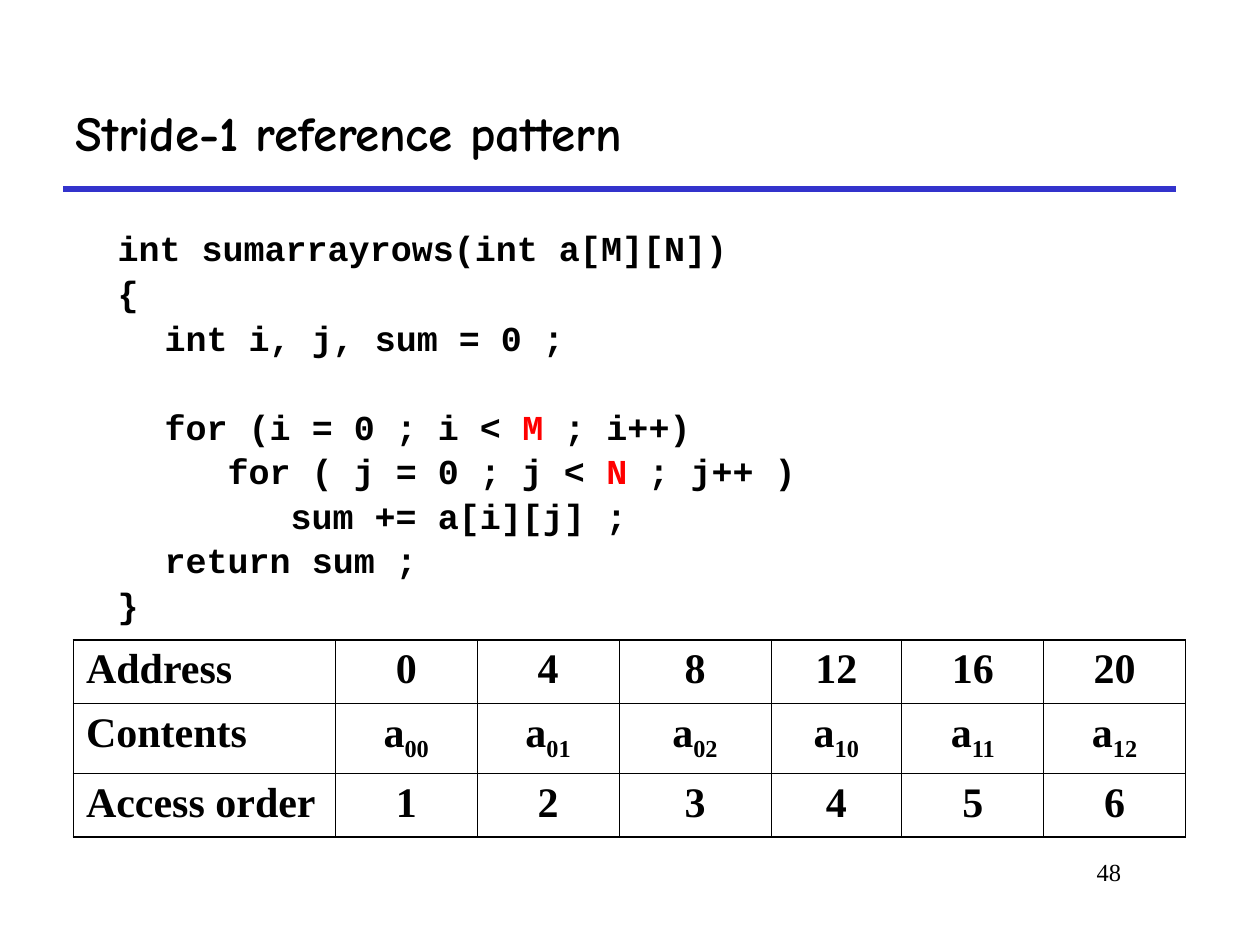
"""Build the slide on the stride-1 reference pattern."""
import dataclasses

import lxml.etree
import pptx
import pptx.dml.color
import pptx.enum.shapes
import pptx.enum.text
import pptx.oxml
import pptx.oxml.ns
import pptx.util

Cm = pptx.util.Cm
Pt = pptx.util.Pt
RGB = pptx.dml.color.RGBColor
ALIGN = pptx.enum.text.PP_ALIGN
ANCHOR = pptx.enum.text.MSO_ANCHOR
qn = pptx.oxml.ns.qn


@dataclasses.dataclass(frozen=True)
class Theme:
    """Colours, fonts and sizes of the slide."""
    ink: RGB = RGB(0, 0, 0)
    accent: RGB = RGB(255, 0, 0)
    rule: RGB = RGB(0x33, 0x33, 0xCC)
    title_font: str = "Comic Neue"
    code_font: str = "Courier New"
    serif_font: str = "Times New Roman"
    title_size: int = 28
    code_size: int = 20
    table_size: int = 24
    number_size: int = 14
    rule_width: float = 3
    outer_border: float = 1.08
    inner_border: float = 0.45


THEME = Theme()
TAB_STEP = 2.54
CODE = [
    ["int sumarrayrows(int a[M][N])"],
    ["{"],
    ["\tint i, j, sum = 0 ;"],
    ["\t"],
    ["\tfor (i = 0 ; i < ", "M", " ; i++)"],
    ["\t\tfor ( j = 0 ; j < ", "N", " ; j++ )"],
    ["\t\t\tsum += a[i][j] ;"],
    ["\treturn sum ;"],
    ["}"],
]
ROWS, COLUMNS, INT_BYTES = 2, 3, 4
COLUMN_WIDTHS = [5.28, 2.86, 2.86, 3.06, 2.64, 2.86, 2.86]
ROW_HEIGHTS = [1.28, 1.4, 1.28]


def apply_format(target, values):
    """Set each named attribute of the target."""
    for name, value in values.items():
        setattr(target, name, value)


def add_text(paragraph, text, font, size, bold=True, color=THEME.ink):
    """Add a formatted run to the paragraph."""
    run = paragraph.add_run()
    run.text = text
    apply_format(run.font, {"name": font, "size": Pt(size), "bold": bold})
    run.font.color.rgb = color
    return run


def add_frame(slide, left, top, width, height, anchor=ANCHOR.TOP):
    """Add a wrapping text box and return its text frame."""
    frame = slide.shapes.add_textbox(Cm(left), Cm(top), Cm(width), Cm(height)).text_frame
    apply_format(frame, {"word_wrap": True, "vertical_anchor": anchor})
    return frame


def add_title(slide):
    """Add the heading and the rule below it."""
    heading = add_frame(slide, 1.27, 1.27, 22.43, 2.54, ANCHOR.MIDDLE).paragraphs[0]
    heading.line_spacing = 1.2
    add_text(heading, "Stride-1 reference pattern", THEME.title_font, THEME.title_size)
    rule = slide.shapes.add_connector(
        pptx.enum.shapes.MSO_CONNECTOR.STRAIGHT, Cm(1.27), Cm(3.81), Cm(23.7), Cm(3.81))
    rule.line.color.rgb = THEME.rule
    rule.line.width = Pt(THEME.rule_width)
    lxml.etree.SubElement(rule._element.spPr, qn("a:effectLst"))


def set_tabs(paragraph, count=8):
    """Give the paragraph a hanging indent and even tab stops."""
    properties = paragraph._p.get_or_add_pPr()
    properties.set("marL", str(Cm(0.95)))
    properties.set("indent", str(Cm(-0.95)))
    stops = lxml.etree.SubElement(properties, qn("a:tabLst"))
    for index in range(count):
        lxml.etree.SubElement(stops, qn("a:tab"), pos=str(Cm(index * TAB_STEP)), algn="l")


def add_code(slide):
    """Add the listing with its loop bounds highlighted."""
    frame = add_frame(slide, 2.12, 4.45, 22.22, 11.64)
    for number, parts in enumerate(CODE):
        line = frame.add_paragraph() if number else frame.paragraphs[0]
        set_tabs(line)
        if number:
            apply_format(line, {"line_spacing": 0.8, "space_before": Pt(6.2)})
        for position, part in enumerate(parts):
            color = THEME.accent if position == 1 else THEME.ink
            add_text(line, part, THEME.code_font, THEME.code_size, color=color)


def set_borders(cell, outer_sides):
    """Draw all four cell borders, heavier on the outer sides."""
    properties = cell._tc.get_or_add_tcPr()
    for side in "LRTB":
        width = THEME.outer_border if side in outer_sides else THEME.inner_border
        border = lxml.etree.SubElement(properties, qn(f"a:ln{side}"), w=str(Pt(width)))
        fill = lxml.etree.SubElement(border, qn("a:solidFill"))
        lxml.etree.SubElement(fill, qn("a:srgbClr"), val=str(THEME.ink))


def fill_cell(cell, text, subscript, align, outer_sides):
    """Write and style one table cell."""
    set_borders(cell, outer_sides)
    cell.fill.background()
    entry = cell.text_frame.paragraphs[0]
    entry.alignment = align
    add_text(entry, text, THEME.serif_font, THEME.table_size)
    if subscript:
        index = add_text(entry, subscript, THEME.serif_font, THEME.table_size)
        index.font._element.set("baseline", "-25000")


def add_access_table(slide):
    """Add the table of addresses, contents and access order."""
    elements = range(ROWS * COLUMNS)
    records = [
        [("Address", "")] + [(str(n * INT_BYTES), "") for n in elements],
        [("Contents", "")] + [("a", f"{n // COLUMNS}{n % COLUMNS}") for n in elements],
        [("Access order", "")] + [(str(n + 1), "") for n in elements],
    ]
    last_row, last_column = len(records) - 1, len(COLUMN_WIDTHS) - 1
    access = slide.shapes.add_table(
        len(records), len(COLUMN_WIDTHS), Cm(1.48), Cm(12.9),
        Cm(sum(COLUMN_WIDTHS)), Cm(sum(ROW_HEIGHTS))).table
    apply_format(access, {"first_row": False, "horz_banding": False})
    for column, width in zip(access.columns, COLUMN_WIDTHS):
        column.width = Cm(width)
    for row, height in zip(access.rows, ROW_HEIGHTS):
        row.height = Cm(height)
    for r, record in enumerate(records):
        for c, (text, subscript) in enumerate(record):
            edges = {"L": c == 0, "R": c == last_column, "T": r == 0, "B": r == last_row}
            outer_sides = [side for side, is_outer in edges.items() if is_outer]
            align = ALIGN.CENTER if c else ALIGN.LEFT
            fill_cell(access.cell(r, c), text, subscript, align, outer_sides)


def add_page_number(slide):
    """Add the slide number at the lower right."""
    number = add_frame(slide, 19.25, 17.15, 3.6, 1.27).paragraphs[0]
    number.alignment = ALIGN.RIGHT
    add_text(number, "48", THEME.serif_font, THEME.number_size, bold=False)


def main():
    """Build and save the slide."""
    deck = pptx.Presentation()
    apply_format(deck, {"slide_width": Cm(25.4), "slide_height": Cm(19.05)})
    slide = deck.slides.add_slide(deck.slide_layouts[6])
    add_title(slide)
    add_code(slide)
    add_access_table(slide)
    add_page_number(slide)
    deck.save("out.pptx")


if __name__ == "__main__":
    main()
